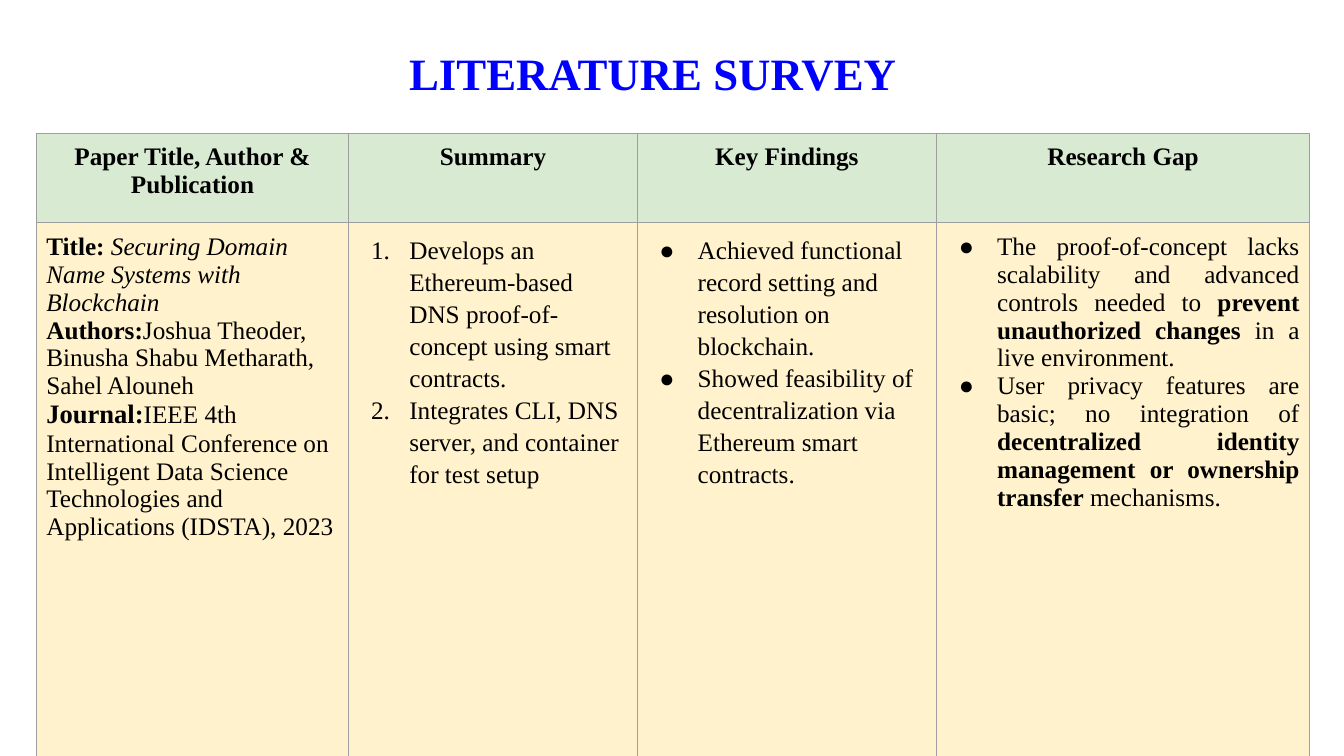
import pptx
import pptx.util
import pptx.dml.color
import pptx.enum.text
import pptx.oxml
import pptx.oxml.ns
from lxml import etree

Inches = pptx.util.Inches
RGBColor = pptx.dml.color.RGBColor
ALIGN = pptx.enum.text.PP_ALIGN

BLUE = RGBColor(0x00, 0x00, 0xFF)
BLACK = RGBColor(0x00, 0x00, 0x00)
GREEN = RGBColor(0xD9, 0xEA, 0xD3)
CREAM = RGBColor(0xFF, 0xF2, 0xCC)
GREY = RGBColor(0x9E, 0x9E, 0x9E)


def write(paragraph, text, size=18, color=BLACK, bold=False, italic=False):
    run = paragraph.add_run()
    run.text = text
    run.font.name = "Times New Roman"
    run.font.size = pptx.util.Pt(size)
    run.font.color.rgb = color
    run.font.bold = bold
    run.font.italic = italic


def add_element(parent, tag, **attributes):
    return etree.SubElement(parent, pptx.oxml.ns.qn(tag), attributes)


BOLD = {"bold": True}
headings = ["Paper Title, Author & Publication", "Summary", "Key Findings", "Research Gap"]
survey = [
    {"align": ALIGN.LEFT, "marker": None, "spacing": 1.0, "paragraphs": [
        [("Title: ", BOLD),
         ("Securing Domain Name Systems with Blockchain", {"italic": True})],
        [("Authors:", BOLD),
         ("Joshua Theoder, Binusha Shabu Metharath, Sahel Alouneh", {})],
        [("Journal:", {"bold": True, "size": 19}),
         ("IEEE 4th International Conference on Intelligent Data Science "
          "Technologies and Applications (IDSTA), 2023", {})],
    ]},
    {"align": ALIGN.LEFT, "marker": "number", "spacing": 1.15, "paragraphs": [
        [("Develops an Ethereum-based DNS proof-of-concept using smart contracts.", {})],
        [("Integrates CLI, DNS server, and container for test setup", {})],
    ]},
    {"align": ALIGN.LEFT, "marker": "bullet", "spacing": 1.15, "paragraphs": [
        [("Achieved functional record setting and resolution on blockchain.", {})],
        [("Showed feasibility of decentralization via Ethereum smart contracts.", {})],
    ]},
    {"align": ALIGN.JUSTIFY, "marker": "bullet", "spacing": 1.0, "paragraphs": [
        [("The proof-of-concept lacks scalability and advanced controls needed to ", {}),
         ("prevent unauthorized changes", BOLD),
         (" in a live environment.", {})],
        [("User privacy features are basic; no integration of ", {}),
         ("decentralized identity management or ownership transfer", BOLD),
         (" mechanisms.", {})],
    ]},
]
header_row = [
    {"align": ALIGN.CENTER, "marker": None, "spacing": 1.0, "paragraphs": [[(heading, BOLD)]]}
    for heading in headings
]

presentation = pptx.Presentation()
presentation.slide_width = Inches(13.33)
presentation.slide_height = Inches(7.5)
slide = presentation.slides.add_slide(presentation.slide_layouts[5])

title = slide.shapes.title
title.left, title.top = Inches(2.82), Inches(0.4)
title.width, title.height = Inches(7.31), Inches(0.64)
title.text_frame.vertical_anchor = pptx.enum.text.MSO_ANCHOR.MIDDLE
title_line = title.text_frame.paragraphs[0]
title_line.alignment = ALIGN.CENTER
write(title_line, "LITERATURE SURVEY", size=32, color=BLUE, bold=True)

column_widths = [3.1, 2.86, 2.97, 3.7]
row_heights = [0.89, 5.29]
table = slide.shapes.add_table(
    2, 4, Inches(0.36), Inches(1.32),
    Inches(sum(column_widths)), Inches(sum(row_heights))).table
for column, width in zip(table.columns, column_widths):
    column.width = Inches(width)
for row, height in zip(table.rows, row_heights):
    row.height = Inches(height)

for row_index, (entries, fill) in enumerate([(header_row, GREEN), (survey, CREAM)]):
    for column_index, entry in enumerate(entries):
        cell = table.cell(row_index, column_index)
        cell.margin_left = cell.margin_right = Inches(0.1)
        cell.margin_top = cell.margin_bottom = Inches(0.1)
        cell.vertical_anchor = pptx.enum.text.MSO_ANCHOR.TOP
        cell_properties = cell._tc.get_or_add_tcPr()
        for side in ["a:lnL", "a:lnR", "a:lnT", "a:lnB"]:
            border = add_element(cell_properties, side, w=str(pptx.util.Pt(0.75)))
            add_element(add_element(border, "a:solidFill"), "a:srgbClr", val=str(GREY))
        cell.fill.solid()
        cell.fill.fore_color.rgb = fill

        frame = cell.text_frame
        for index, runs in enumerate(entry["paragraphs"]):
            paragraph = frame.add_paragraph() if index else frame.paragraphs[0]
            if entry["marker"]:
                properties = paragraph._p.get_or_add_pPr()
                properties.set("marL", str(Inches(0.5)))
                properties.set("indent", str(Inches(-0.38)))
                add_element(add_element(properties, "a:buClr"), "a:srgbClr", val=str(BLACK))
                add_element(properties, "a:buFont", typeface="Times New Roman")
                if entry["marker"] == "number":
                    add_element(properties, "a:buAutoNum", type="arabicPeriod")
                else:
                    add_element(properties, "a:buChar", char="●")
            paragraph.alignment = entry["align"]
            paragraph.line_spacing = entry["spacing"]
            for text, style in runs:
                write(paragraph, text, **style)

presentation.save("out.pptx")
